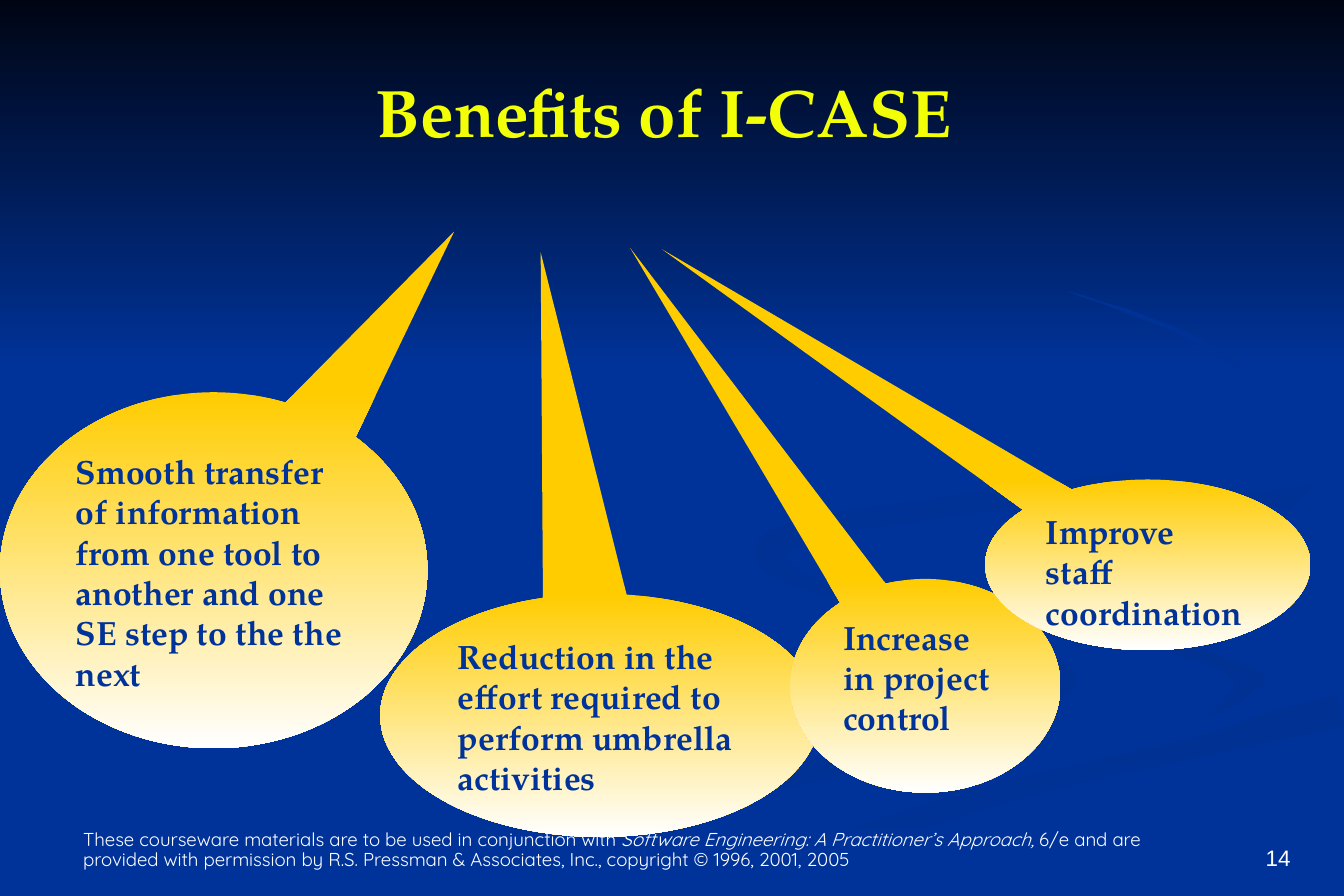
from math import hypot

from pptx import Presentation
from pptx.dml.color import RGBColor
from pptx.enum.shapes import MSO_SHAPE
from pptx.enum.text import MSO_ANCHOR, PP_ALIGN
from pptx.util import Inches, Pt

CALLOUT, RECTANGLE = MSO_SHAPE.OVAL_CALLOUT, MSO_SHAPE.RECTANGLE
TOP, MIDDLE, BOTTOM = MSO_ANCHOR.TOP, MSO_ANCHOR.MIDDLE, MSO_ANCHOR.BOTTOM
LEFT, CENTER, RIGHT = PP_ALIGN.LEFT, PP_ALIGN.CENTER, PP_ALIGN.RIGHT

BLUE = RGBColor(0x00, 0x33, 0x99)
DEEP_BLUE = RGBColor(0x00, 0x31, 0x93)
NIGHT = RGBColor(0x00, 0x05, 0x14)
GOLD = RGBColor(0xFF, 0xCC, 0x00)
WHITE = RGBColor(0xFF, 0xFF, 0xFF)
YELLOW = RGBColor(0xF3, 0xFF, 0x07)

PAGE_WIDTH, PAGE_HEIGHT = 10, 6.67
SKY_HEIGHT = 2.74
STEPS_PER_KNOT = 6
UNITS_PER_INCH = 100

TITLE_FORMAT = {"name": "TeX Gyre Pagella", "size": Pt(36), "bold": True}
CALLOUT_FORMAT = {"name": "TeX Gyre Pagella", "size": Pt(18), "bold": True}
NOTE_FORMAT = {"name": "Quicksand", "size": Pt(10)}
NUMBER_FORMAT = {"name": "Arial", "size": Pt(12)}

# Each ribbon is a smooth spine through knots of (x, y, thickness) in inches.
LOWER_TAIL = [(5.75, 4.08, 0.02), (5.74, 4.2, 0.08), (6.8, 4.62, 0.02), (7.6, 4.85, 0.04),
              (7.92, 5.1, 0.14), (6.9, 5.52, 0.15), (5, 6, 0.2), (3.5, 6.55, 0.26)]
RIGHT_CURL = [(7.24, 4.12, 0.01), (7.42, 4.38, 0.05), (8.2, 4.66, 0.1),
              (9.1, 4.92, 0.14), (9.3, 5.14, 0.25), (8.98, 5.35, 0.02)]
LOWER_EDGE = [(5.37, 6.62, 0.1), (6.5, 6.2, 0.16), (7.9, 5.78, 0.17), (9.97, 5.29, 0.25)]
MAIN_RIBBON = [(9.97, 3.51, 0.14), (8.4, 3.74, 0.12), (7.53, 4.08, 0.5), (8.4, 4.56, 0.16),
               (9.55, 4.95, 0.3), (9, 5.4, 0.1), (7, 5.88, 0.12), (5, 6.6, 0.1)]
UPPER_EDGE = [(8.2, 4.39, 0.02), (7.93, 4.15, 0.23), (8.5, 3.88, 0.15), (9.97, 3.66, 0.15)]
UPPER_LOOP = [(7.95, 2.17, 0.01), (8.9, 2.53, 0.04), (9.56, 3.08, 0.06), (9.1, 3.45, 0.14),
              (7.6, 3.7, 0.15), (6.2, 3.9, 0.16), (5.72, 4.13, 0.22), (6.15, 4.43, 0.02)]
RIBBONS = [
    (LOWER_TAIL, BLUE, DEEP_BLUE, 0),
    (RIGHT_CURL, BLUE, DEEP_BLUE, 45),
    (LOWER_EDGE, DEEP_BLUE, BLUE, 90),
    (MAIN_RIBBON, BLUE, BLUE, 0),
    (UPPER_EDGE, DEEP_BLUE, BLUE, 45),
    (UPPER_LOOP, DEEP_BLUE, BLUE, 45),
]
BENEFITS = [
    ("Smooth transfer of information from one tool to another and one SE step to the the next",
     (0, 2.92, 3.18, 2.65), (0.563, -0.952)),
    ("Reduction in the effort required to perform umbrella activities",
     (2.83, 4.42, 3.27, 1.81), (-0.135, -1.904)),
    ("Increase in project control", (5.88, 4.31, 2.01, 1.59), (-1.093, -2.05)),
    ("Improve staff coordination", (7.33, 3.57, 2.42, 1.27), (-1.493, -1.849)),
]
NOTE = [
    ("These courseware materials are to be used in conjunction with ", False),
    ("Software Engineering: A Practitioner’s Approach,", True),
    (" 6/e and are provided with permission by R.S. Pressman & Associates, Inc., "
     "copyright © 1996, 2001, 2005", False),
]


def paint(shape, first, last, angle):
    shape.shadow.inherit = False
    shape.line.fill.background()
    if first == last:
        shape.fill.solid()
        shape.fill.fore_color.rgb = first
        return
    shape.fill.gradient()
    shape.fill.gradient_angle = -angle % 360
    for stop, color, position in zip(shape.fill.gradient_stops, (first, last), (0, 1)):
        stop.color.rgb = color
        stop.position = position


def write(shape, spans, formats, color, align, anchor, spacing=None):
    frame = shape.text_frame
    frame.word_wrap = True
    frame.vertical_anchor = anchor
    para = frame.paragraphs[0]
    para.alignment = align
    para.line_spacing = spacing
    for text, italic in spans:
        span = para.add_run()
        span.text = text
        for key, value in formats.items():
            setattr(span.font, key, value)
        span.font.italic = italic
        span.font.color.rgb = color


def smooth(knots):
    padded = [knots[0], *knots, knots[-1]]
    samples = []
    for quad in zip(padded, padded[1:], padded[2:], padded[3:]):
        for step in range(STEPS_PER_KNOT):
            t = step / STEPS_PER_KNOT
            samples.append([
                b + t * (c - a) / 2 + t**2 * (2 * a - 5 * b + 4 * c - d) / 2
                + t**3 * (3 * b - a - 3 * c + d) / 2
                for a, b, c, d in zip(*quad)
            ])
    return samples + [knots[-1]]


def ribbon_outline(knots):
    spine = smooth(knots)
    near_side, far_side = [], []
    for before, (x, y, thickness), after in zip(spine[:1] + spine, spine, spine[1:] + spine[-1:]):
        run, rise = after[0] - before[0], after[1] - before[1]
        reach = thickness / 2 / hypot(run, rise)
        near_side.append((x - rise * reach, y + run * reach))
        far_side.append((x + rise * reach, y - run * reach))
    return near_side + far_side[::-1]


def add_ribbon(page, box, knots, first, last, angle):
    left, top, width, height = box
    points = [
        (round(UNITS_PER_INCH * (left + min(x, width))),
         round(UNITS_PER_INCH * (top + min(y, height))))
        for x, y in ribbon_outline(knots)
    ]
    builder = page.shapes.build_freeform(*points[0], scale=Inches(1) / UNITS_PER_INCH)
    builder.add_line_segments(points[1:], close=True)
    paint(builder.convert_to_shape(), first, last, angle)


def add_backdrop(page, box):
    left, top, width, _ = box
    sky = page.shapes.add_shape(RECTANGLE, *map(Inches, (left, top, width, SKY_HEIGHT)))
    paint(sky, NIGHT, BLUE, 90)
    for knots, first, last, angle in RIBBONS:
        add_ribbon(page, box, knots, first, last, angle)


def add_text(page, box, *text_style):
    write(page.shapes.add_textbox(*map(Inches, box)), *text_style)


def add_footer(page, box):
    left, top, width, height = box
    note_width, number_width = 8.42, 0.69
    add_text(page, (left, top, note_width, height),
             NOTE, NOTE_FORMAT, WHITE, LEFT, BOTTOM, 0.9)
    add_text(page, (left + width - number_width, top, number_width, height),
             [("14", False)], NUMBER_FORMAT, WHITE, RIGHT, BOTTOM)


def add_callout(page, box, text, tip):
    shape = page.shapes.add_shape(CALLOUT, *map(Inches, box))
    for index, value in enumerate(tip):
        shape.adjustments[index] = value
    paint(shape, GOLD, WHITE, 90)
    write(shape, [(text, False)], CALLOUT_FORMAT, BLUE, LEFT, TOP)


def main():
    deck = Presentation()
    deck.slide_width, deck.slide_height = Inches(PAGE_WIDTH), Inches(PAGE_HEIGHT)
    page = deck.slides.add_slide(deck.slide_layouts[6])
    page.background.fill.solid()
    page.background.fill.fore_color.rgb = BLUE
    add_backdrop(page, (0, 0, PAGE_WIDTH, PAGE_HEIGHT))
    add_footer(page, (0.52, 6.07, 9.18, 0.46))
    add_text(page, (0.5, 0.27, 9, 1.11), [("Benefits of I-CASE ", False)],
             TITLE_FORMAT, YELLOW, CENTER, MIDDLE)
    for text, box, tip in BENEFITS:
        add_callout(page, box, text, tip)
    deck.save("out.pptx")


if __name__ == "__main__":
    main()
